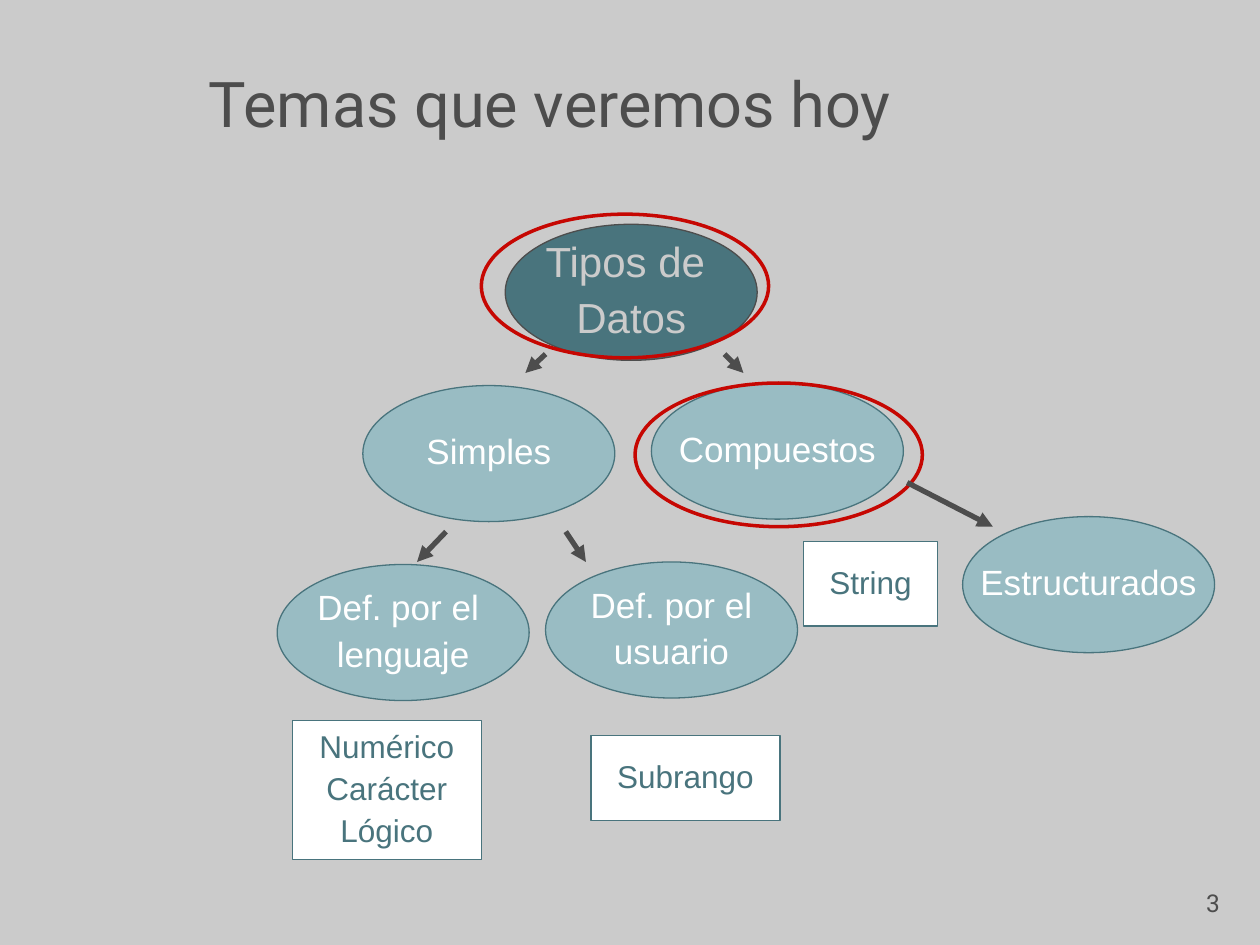
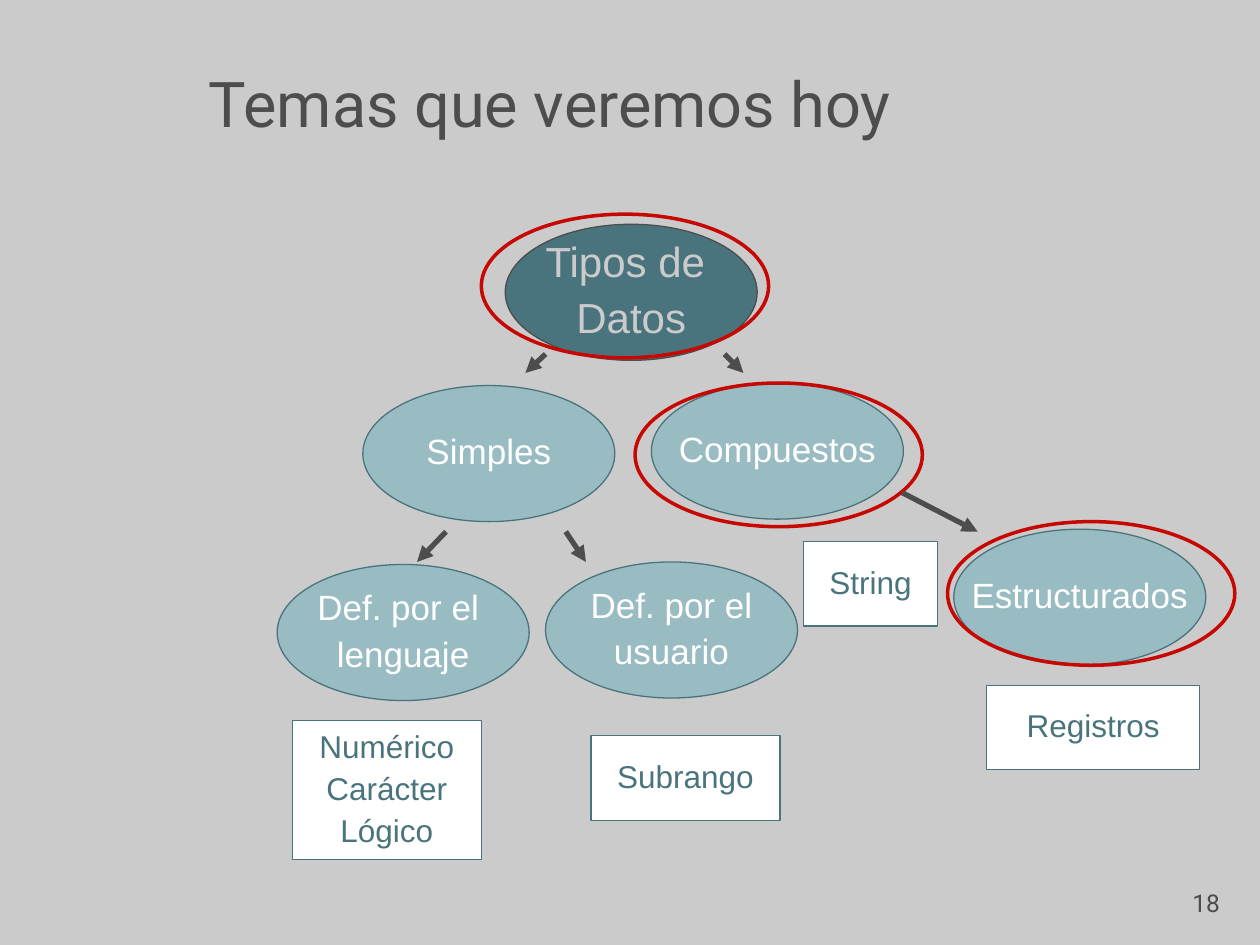
from collections import namedtuple

from lxml import etree
from pptx import Presentation
from pptx.dml.color import RGBColor
from pptx.enum.shapes import MSO_CONNECTOR, MSO_SHAPE
from pptx.enum.text import MSO_ANCHOR, PP_ALIGN
from pptx.oxml.ns import qn
from pptx.util import Inches, Pt

OVAL, RECT = MSO_SHAPE.OVAL, MSO_SHAPE.RECTANGLE
STRAIGHT = MSO_CONNECTOR.STRAIGHT
MIDDLE, BOTTOM = MSO_ANCHOR.MIDDLE, MSO_ANCHOR.BOTTOM
LEFT, CENTER, RIGHT = PP_ALIGN.LEFT, PP_ALIGN.CENTER, PP_ALIGN.RIGHT

# Grid of 10 columns by 7.5 rows
COLUMNS, ROWS = 10, 7.5
WIDTH, HEIGHT = Inches(10), Inches(7.5)

GREY, INK, TEAL, PALE, WHITE, RED = (
    "CBCBCB", "4D4D4D", "49747D", "99BCC3", "FFFFFF", "C60702")

Box = namedtuple("Box", "left top width height")
TITLE_BOX = Box(1.56, -0.08, 7.65, 1.25)
NUMBER_BOX = Box(7.7, 6.83, 2.08, 0.5)
TREE_BOX = Box(2.2, 1.7, 5.24, 5.12)

NODE_SIZE = (2, 1.08)
HALO_SIZE = (2.28, 1.14)
LEAF_HEIGHT = 0.67

# Space before a further paragraph is a quarter of the text size
TITLE_TEXT = {"size": 36, "name": "Roboto", "color": INK}
NUMBER_TEXT = {"size": 14, "name": "Roboto", "color": INK}
ROOT_STYLE = {"fill": TEAL, "line": INK,
              "text": {"size": 24, "name": "Arial", "color": GREY}}
NODE_STYLE = {"fill": PALE, "line": TEAL,
              "text": {"size": 20, "name": "Arial", "color": WHITE}}
LEAF_STYLE = {"fill": WHITE, "line": TEAL,
              "text": {"size": 18, "name": "Arial", "color": TEAL}}


def rgb(color):
    return RGBColor.from_string(color)


def col(count):
    return round(WIDTH * count / COLUMNS)


def row(count):
    return round(HEIGHT * count / ROWS)


def place(box):
    return col(box.left), row(box.top), col(box.width), row(box.height)


def inside(box, spot, size):
    return Box(box.left + spot[0], box.top + spot[1], *size)


def write(shape, lines, style, align, anchor, wrap):
    frame = shape.text_frame
    frame.word_wrap, frame.vertical_anchor = wrap, anchor
    for index, line in enumerate(lines):
        paragraph = frame.paragraphs[0] if index == 0 else frame.add_paragraph()
        paragraph.text = line
        spacing = {"alignment": align, "line_spacing": 0.9,
                   "space_before": Pt(style["size"] / 4 if index else 0)}
        for name, value in spacing.items():
            setattr(paragraph, name, value)
        for name, value in {"size": Pt(style["size"]), "name": style["name"]}.items():
            setattr(paragraph.font, name, value)
        paragraph.font.color.rgb = rgb(style["color"])


def add_label(slide, box, text, style, align):
    write(slide.shapes.add_textbox(*place(box)), [text], style, align, BOTTOM, True)


def add_outlined(slide, preset, box, line, weight):
    shape = slide.shapes.add_shape(preset, *place(box))
    shape.shadow.inherit = False
    shape.line.color.rgb = rgb(line)
    shape.line.width = Pt(weight)
    return shape


def add_concept(slide, preset, box, lines, style):
    shape = add_outlined(slide, preset, box, style["line"], 0.75)
    shape.fill.solid()
    shape.fill.fore_color.rgb = rgb(style["fill"])
    write(shape, lines, style["text"], CENTER, MIDDLE, False)


def add_halo(slide, box, spot):
    halo = add_outlined(slide, OVAL, inside(box, spot, HALO_SIZE), RED, 2)
    halo.fill.background()


def add_arrow(slide, box, start, end):
    ends = [move for x, y in (start, end)
            for move in (col(box.left + x), row(box.top + y))]
    arrow = slide.shapes.add_connector(STRAIGHT, *ends)
    arrow.line.color.rgb = rgb(INK)
    arrow.line.width = Pt(3)
    etree.SubElement(arrow.line._get_or_add_ln(), qn("a:tailEnd"), type="triangle")
    etree.SubElement(arrow._element.spPr, qn("a:effectLst"))


def add_types_tree(slide, box):
    # Root and its branches
    nodes = [
        ((1.81, 0.08), ["Tipos de ", "Datos"], ROOT_STYLE),
        ((0.68, 1.36), ["Simples"], NODE_STYLE),
        ((2.97, 1.34), ["Compuestos"], NODE_STYLE),
        ((0, 2.78), ["Def. por el ", "lenguaje"], NODE_STYLE),
        ((2.13, 2.76), ["Def. por el", "usuario"], NODE_STYLE),
    ]
    for spot, lines, style in nodes:
        add_concept(slide, OVAL, inside(box, spot, NODE_SIZE), lines, style)

    # Arrows from parent to child
    for start, end in [((2.13, 1.11), (1.97, 1.26)), ((3.55, 1.11), (3.7, 1.26)),
                       ((1.34, 2.52), (1.11, 2.76)), ((2.29, 2.52), (2.45, 2.76))]:
        add_arrow(slide, box, start, end)

    # Today's topics
    for spot in [(1.62, 0), (2.84, 1.34)]:
        add_halo(slide, box, spot)

    # Concrete types
    leaves = [
        ((0.12, 4.02), (1.5, 1.1), ["Numérico", "Carácter", "Lógico"]),
        ((2.49, 4.14), (1.5, LEAF_HEIGHT), ["Subrango"]),
        ((4.18, 2.6), (1.06, LEAF_HEIGHT), ["String"]),
    ]
    for spot, size, lines in leaves:
        add_concept(slide, RECT, inside(box, spot, size), lines, LEAF_STYLE)


def add_structured_branch(slide, box, arrow_end, with_records):
    # The node fills the lower right corner of its box
    node_spot = (box.width - NODE_SIZE[0], box.height - NODE_SIZE[1])
    if with_records:
        records_box = inside(box, (0.67, 1.53), (1.69, LEAF_HEIGHT))
        add_concept(slide, RECT, records_box, ["Registros"], LEAF_STYLE)
    add_concept(slide, OVAL, inside(box, node_spot, NODE_SIZE),
                ["Estructurados"], NODE_STYLE)
    add_arrow(slide, box, (0, 0), arrow_end)
    if with_records:
        add_halo(slide, box, (0.36, 0.23))


def add_topics_slide(deck, number, branch_box, arrow_end, with_records):
    slide = deck.slides.add_slide(deck.slide_layouts[6])
    slide.background.fill.solid()
    slide.background.fill.fore_color.rgb = rgb(GREY)
    add_label(slide, TITLE_BOX, "Temas que veremos hoy", TITLE_TEXT, LEFT)
    add_label(slide, NUMBER_BOX, number, NUMBER_TEXT, RIGHT)
    add_types_tree(slide, TREE_BOX)
    add_structured_branch(slide, branch_box, arrow_end, with_records)


def main():
    deck = Presentation()
    deck.slide_width, deck.slide_height = WIDTH, HEIGHT
    add_topics_slide(deck, "3", Box(7.2, 3.83, 2.44, 1.35), (0.68, 0.35), False)
    add_topics_slide(deck, "18", Box(7.16, 3.91, 2.41, 1.37), (0.6, 0.31), True)
    deck.save("out.pptx")


if __name__ == "__main__":
    main()
